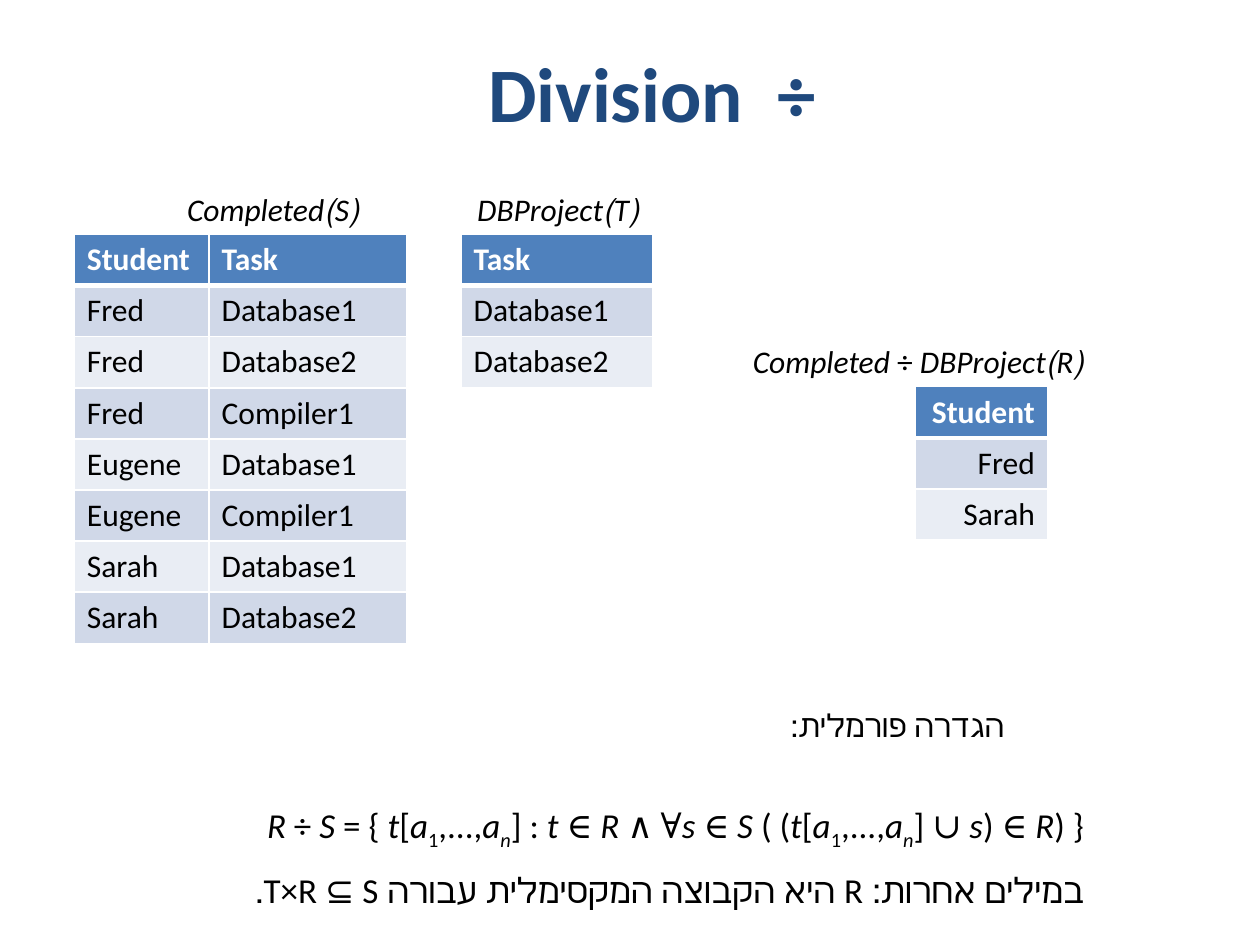
"""Build the slide on relational division."""
from dataclasses import dataclass
from typing import Any

import lxml.etree
import pptx
import pptx.dml.color
import pptx.enum.text
import pptx.oxml.ns
import pptx.util

Pt = pptx.util.Pt
Align = pptx.enum.text.PP_ALIGN
qn = pptx.oxml.ns.qn


@dataclass(frozen=True)
class Theme:
    face: str = "Calibri"
    math_face: str = "Cambria"
    heading: str = "1F497D"
    ink: str = "000000"
    paper: str = "FFFFFF"
    header: str = "4F81BD"
    bands: tuple[str, str] = ("D0D8E8", "E9EDF4")
    title_size: float = 44
    body_size: float = 18
    formula_size: float = 20
    rule: float = 1
    header_rule: float = 3


THEME = Theme()


@dataclass(frozen=True)
class Run:
    text: str
    italic: bool = False
    subscript: bool = False
    face: str = THEME.face


@dataclass(frozen=True)
class Relation:
    left: float
    top: float
    widths: tuple[float, ...]
    rows: tuple[tuple[str, ...], ...]
    rtl: bool = False
    row_height: float = 29.2


@dataclass(frozen=True)
class Caption:
    left: float
    top: float
    width: float
    height: float
    lines: tuple[tuple[Run, ...], ...]
    size: float = THEME.body_size
    line_spacing: float | None = None
    space_after: float | None = None


def var(text: str, subscript: bool = False) -> Run:
    """Return an italic variable."""
    return Run(text, italic=True, subscript=subscript)


def symbol(text: str) -> Run:
    """Return a mathematical symbol."""
    return Run(text, face=THEME.math_face)


TUPLE = (var("t"), Run("["), var("a"), Run("1", subscript=True),
         Run(",...,"), var("a"), var("n", subscript=True))
FORMULA = (
    var("R"), Run(" ÷ "), var("S"), Run(" = { "), *TUPLE, Run("] : "),
    var("t "), symbol("∈ "), var("R "), symbol("∧ ∀"), var("s "),
    symbol("∈ "), var("S"), Run(" ( ("), *TUPLE, Run("] "), symbol("∪ "),
    var("s"), Run(") "), symbol("∈ "), var("R"), Run(") }"),
)
IN_WORDS = (Run("במילים אחרות: R היא הקבוצה המקסימלית עבורה T×R ⊆ S."),)

RELATIONS = (
    Relation(42.5, 134, (77, 113), (
        ("Student", "Task"),
        ("Fred", "Database1"),
        ("Fred", "Database2"),
        ("Fred", "Compiler1"),
        ("Eugene", "Database1"),
        ("Eugene", "Compiler1"),
        ("Sarah", "Database1"),
        ("Sarah", "Database2"),
    )),
    Relation(263.5, 134, (109.5,), (("Task",), ("Database1",), ("Database2",))),
    Relation(523, 221, (75.6,), (("Student",), ("Fred",), ("Sarah",)), rtl=True),
)
CAPTIONS = (
    Caption(42.5, 105, 170, 29, ((var("(S)Completed"),),)),
    Caption(242, 105, 130.5, 29, ((var("(T)DBProject"),),)),
    Caption(422.5, 192, 204, 29,
            ((var("(R)Completed"), Run(" ÷ "), var("DBProject")),)),
    Caption(373, 400, 208, 29, ((Run("הגדרה פורמלית:"),),)),
    Caption(99.5, 453.6, 527, 65.5, (FORMULA, IN_WORDS), THEME.formula_size,
            line_spacing=1.07, space_after=8),
)


def write(paragraph: Any, *runs: Run, size: float = THEME.body_size,
          color: str = THEME.ink, bold: bool = False,
          align: Align = Align.LEFT, rtl: bool = False) -> None:
    """Fill a paragraph with formatted runs."""
    paragraph.alignment = align
    if rtl:
        paragraph._p.get_or_add_pPr().set("rtl", "1")
    for part in runs:
        run = paragraph.add_run()
        run.text = part.text
        font = run.font
        font.name, font.size = part.face, Pt(size)
        font.bold, font.italic = bold, part.italic
        font.color.rgb = pptx.dml.color.RGBColor.from_string(color)
        if part.subscript:
            font._element.set("baseline", "-25000")


def draw_title(slide: Any) -> None:
    """Place and fill the title."""
    title = slide.shapes.title
    title.left, title.top = Pt(140.4), Pt(22.3)
    title.width, title.height = Pt(465), Pt(99.4)
    frame = title.text_frame
    frame.auto_size = pptx.enum.text.MSO_AUTO_SIZE.NONE
    frame.vertical_anchor = pptx.enum.text.MSO_ANCHOR.TOP
    write(frame.paragraphs[0], Run("Division  ÷"), size=THEME.title_size,
          color=THEME.heading, bold=True, align=Align.CENTER)


def draw_caption(slide: Any, caption: Caption) -> None:
    """Draw a right-to-left text box."""
    frame = slide.shapes.add_textbox(
        Pt(caption.left), Pt(caption.top),
        Pt(caption.width), Pt(caption.height)).text_frame
    frame.word_wrap = True
    for index, line in enumerate(caption.lines):
        paragraph = frame.add_paragraph() if index else frame.paragraphs[0]
        write(paragraph, *line, size=caption.size, align=Align.RIGHT, rtl=True)
        if caption.line_spacing is not None:
            paragraph.line_spacing = caption.line_spacing
        if caption.space_after is not None:
            paragraph.space_after = Pt(caption.space_after)


def add_borders(cell: Any, row: int) -> None:
    """Rule a cell on four sides, thicker under the header."""
    widths = {"L": THEME.rule, "R": THEME.rule,
              "T": THEME.header_rule if row == 1 else THEME.rule,
              "B": THEME.header_rule if row == 0 else THEME.rule}
    properties = cell._tc.get_or_add_tcPr()
    for side, width in widths.items():
        line = lxml.etree.SubElement(properties, qn(f"a:ln{side}"), w=str(Pt(width)))
        fill = lxml.etree.SubElement(line, qn("a:solidFill"))
        lxml.etree.SubElement(fill, qn("a:srgbClr"), val=THEME.paper)


def draw_relation(slide: Any, relation: Relation) -> None:
    """Draw a relation as a banded table."""
    count = len(relation.rows)
    table = slide.shapes.add_table(
        count, len(relation.widths), Pt(relation.left), Pt(relation.top),
        Pt(sum(relation.widths)), Pt(relation.row_height * count)).table
    for column, width in zip(table.columns, relation.widths):
        column.width = Pt(width)
    for row, values in enumerate(relation.rows):
        table.rows[row].height = Pt(relation.row_height)
        fill = THEME.bands[(row - 1) % 2] if row else THEME.header
        for column, value in enumerate(values):
            cell = table.cell(row, column)
            add_borders(cell, row)
            cell.fill.solid()
            cell.fill.fore_color.rgb = pptx.dml.color.RGBColor.from_string(fill)
            write(cell.text_frame.paragraphs[0], Run(value), bold=row == 0,
                  color=THEME.ink if row else THEME.paper, rtl=relation.rtl,
                  align=Align.RIGHT if relation.rtl else Align.LEFT)


def main() -> None:
    """Build and save the slide."""
    deck = pptx.Presentation()
    deck.slide_width, deck.slide_height = Pt(720), Pt(540)
    slide = deck.slides.add_slide(deck.slide_layouts.get_by_name("Title Only"))
    draw_title(slide)
    for relation in RELATIONS:
        draw_relation(slide, relation)
    for caption in CAPTIONS:
        draw_caption(slide, caption)
    deck.save("out.pptx")


if __name__ == "__main__":
    main()
